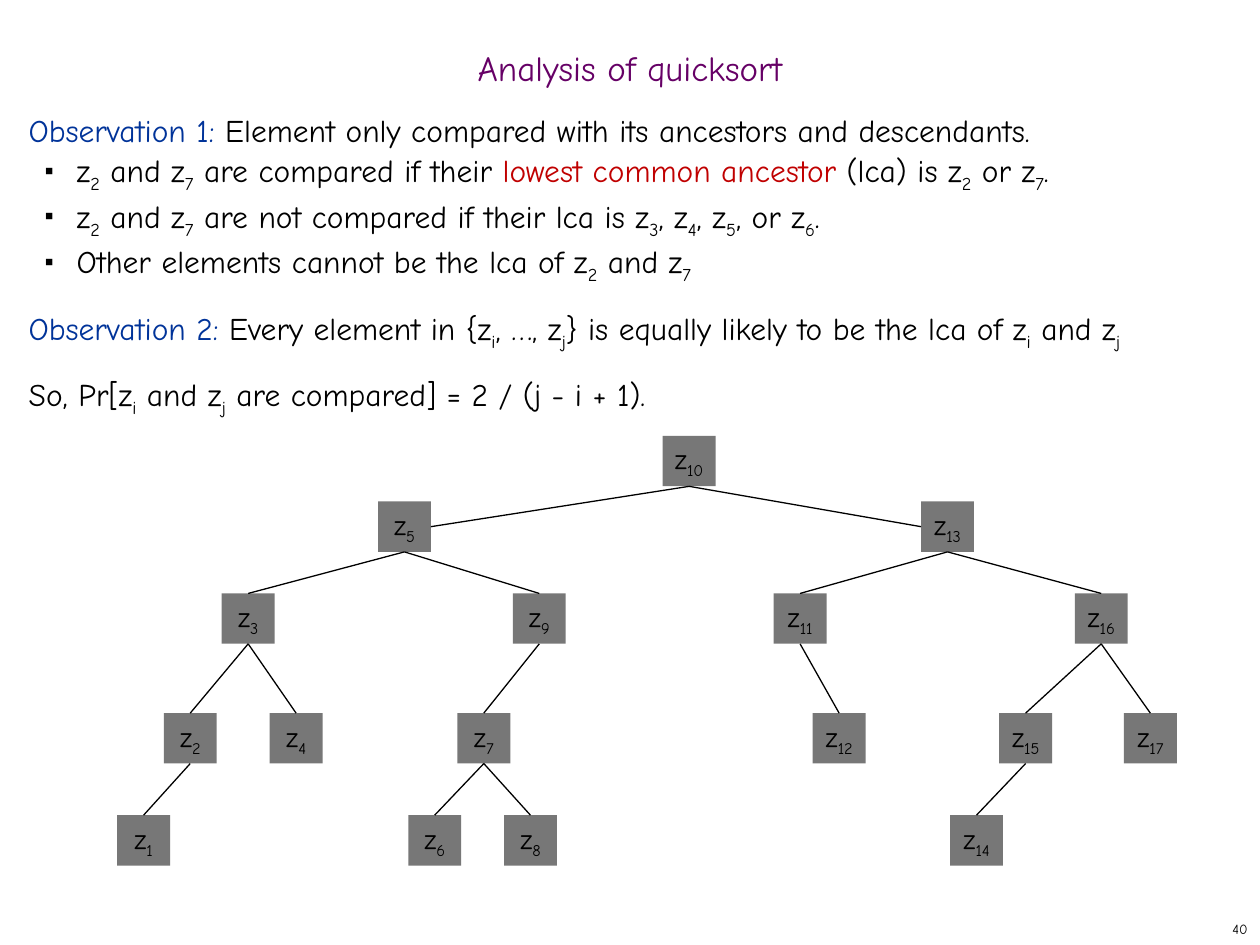
import pptx
import pptx.util
import pptx.dml.color
import pptx.enum.shapes
import pptx.enum.text
import pptx.oxml
import lxml.etree
from pptx.util import Inches

FONT = "Comic Neue"
BLACK = pptx.dml.color.RGBColor(0x00, 0x00, 0x00)
PURPLE = pptx.dml.color.RGBColor(0x66, 0x00, 0x66)
BLUE = pptx.dml.color.RGBColor(0x00, 0x33, 0x99)
RED = pptx.dml.color.RGBColor(0xC0, 0x00, 0x00)
GREY = pptx.dml.color.RGBColor(0x77, 0x77, 0x77)
ALIGN = pptx.enum.text.PP_ALIGN
ANCHOR = pptx.enum.text.MSO_ANCHOR
TOP, LEFT, BOTTOM, RIGHT = range(4)

HEADINGS = "heading"
BULLET = "bullet"
BODY = [
    (HEADINGS, [("Observation 1: ", BLUE),
                ("Element only compared with its ancestors and descendants.", BLACK)]),
    (BULLET, [("z~2~ and z~7~ are compared if their ", BLACK),
              ("lowest common ancestor", RED),
              (" (lca) is z~2~ or z~7~.", BLACK)]),
    (BULLET, [("z~2~ and z~7~ are not compared if their lca is z~3~, z~4~, z~5~, or z~6~.", BLACK)]),
    (BULLET, [("Other elements cannot be the lca of z~2~ and z~7~", BLACK)]),
    (HEADINGS, [("Observation 2: ", BLUE),
                ("Every element in {z~i~, …, z~j~} is equally likely to be the lca of z~i~ and z~j~", BLACK)]),
    (HEADINGS, [("So, Pr[z~i~ and z~j~ are compared] = 2 / (j - i + 1).", BLACK)]),
]

LEVEL_TOPS = [0, 0.52, 1.25, 2.2, 3.01]
LEVELS = [
    {10: (4.33, None)},
    {5: (2.07, 10), 13: (6.38, 10)},
    {3: (0.83, 5), 9: (3.14, 5), 11: (5.21, 13), 16: (7.6, 13)},
    {2: (0.37, 3), 4: (1.21, 3), 7: (2.7, 9), 12: (5.52, 11), 15: (7, 16), 17: (7.99, 16)},
    {1: (0, 2), 6: (2.31, 7), 8: (3.07, 7), 14: (6.61, 15)},
]
SIDE_ENTRIES = {5: RIGHT, 13: LEFT}


def write(para, text, size=18, color=BLACK):
    """Add text to a paragraph, with the parts between tildes as subscripts."""
    for index, part in enumerate(text.split("~")):
        if not part:
            continue
        span = para.add_run()
        span.text = part
        span.font.name = FONT
        span.font.size = pptx.util.Pt(size)
        span.font.color.rgb = color
        if index % 2:
            span.font._element.set("baseline", "-25000")


def add_bullet(para):
    """Give a paragraph a small square bullet and a hanging indent."""
    props = para._p.get_or_add_pPr()
    props.set("marL", str(Inches(0.38)))
    props.set("indent", str(Inches(-0.25)))
    namespace = pptx.oxml.ns.nsdecls("a")
    for markup in (
        f'<a:buClr {namespace}><a:srgbClr val="{BLACK}"/></a:buClr>',
        f'<a:buSzPct {namespace} val="35000"/>',
        f'<a:buChar {namespace} char="■"/>',
    ):
        props.append(pptx.oxml.parse_xml(markup))


def add_line_of_text(page, box, text, size, color, align, spacing=1.0):
    """Place one line of text, centred vertically in its box."""
    frame = page.shapes.add_textbox(*box).text_frame
    frame.word_wrap = True
    frame.vertical_anchor = ANCHOR.MIDDLE
    para = frame.paragraphs[0]
    para.alignment = align
    para.line_spacing = spacing
    write(para, text, size=size, color=color)


def add_observations(page, box):
    """Place the observations and their bullets in the box."""
    frame = page.shapes.add_textbox(*box).text_frame
    frame.word_wrap = True
    for index, (kind, pieces) in enumerate(BODY):
        para = frame.add_paragraph() if index else frame.paragraphs[0]
        para.line_spacing = pptx.util.Pt(26)
        if kind == BULLET:
            para.space_before = pptx.util.Pt(0)
            add_bullet(para)
        else:
            para.space_before = pptx.util.Pt(12)
        for text, color in pieces:
            write(para, text, color=color)


def add_node(page, box, number):
    """Place one grey tree node with its label."""
    node = page.shapes.add_shape(pptx.enum.shapes.MSO_SHAPE.RECTANGLE, *box)
    node.shadow.inherit = False
    node.fill.solid()
    node.fill.fore_color.rgb = GREY
    node.line.fill.background()
    frame = node.text_frame
    frame.word_wrap = False
    frame.vertical_anchor = ANCHOR.MIDDLE
    frame.paragraphs[0].alignment = ALIGN.CENTER
    write(frame.paragraphs[0], f"z~{number}~", size=16)
    return node


def add_edge(page, parent, child, entry):
    """Join the bottom of a parent to the given side of its child."""
    edge = page.shapes.add_connector(pptx.enum.shapes.MSO_CONNECTOR.STRAIGHT, 0, 0, 0, 0)
    edge.begin_connect(parent, BOTTOM)
    edge.end_connect(child, entry)
    edge.line.color.rgb = BLACK
    edge.line.width = pptx.util.Pt(0.75)
    lxml.etree.SubElement(edge._element.spPr, pptx.oxml.ns.qn("a:effectLst"))


def add_tree(page, left, top):
    """Place the search tree with its upper left corner at the given point."""
    nodes = {}
    for level_top, level in zip(LEVEL_TOPS, LEVELS):
        for number, (offset, parent) in level.items():
            box = (left + Inches(offset), top + Inches(level_top), Inches(0.42), Inches(0.4))
            nodes[number] = add_node(page, box, number)
            if parent:
                add_edge(page, nodes[parent], nodes[number], SIDE_ENTRIES.get(number, TOP))


def main():
    """Build the slide and save the deck."""
    deck = pptx.Presentation()
    deck.slide_width, deck.slide_height = Inches(10), Inches(7.5)
    page = deck.slides.add_slide(deck.slide_layouts[6])
    title_box = (0, Inches(0.33), Inches(10), Inches(0.5))
    add_line_of_text(page, title_box, "Analysis of quicksort", 20, PURPLE, ALIGN.CENTER, 0.7)
    add_observations(page, (Inches(0.13), Inches(0.77), Inches(9.87), Inches(6.07)))
    number_box = (Inches(7.92), Inches(7.25), Inches(2.08), Inches(0.25))
    add_line_of_text(page, number_box, "40", 8, BLACK, ALIGN.RIGHT)
    add_tree(page, Inches(0.93), Inches(3.46))
    deck.save("out.pptx")


if __name__ == "__main__":
    main()
